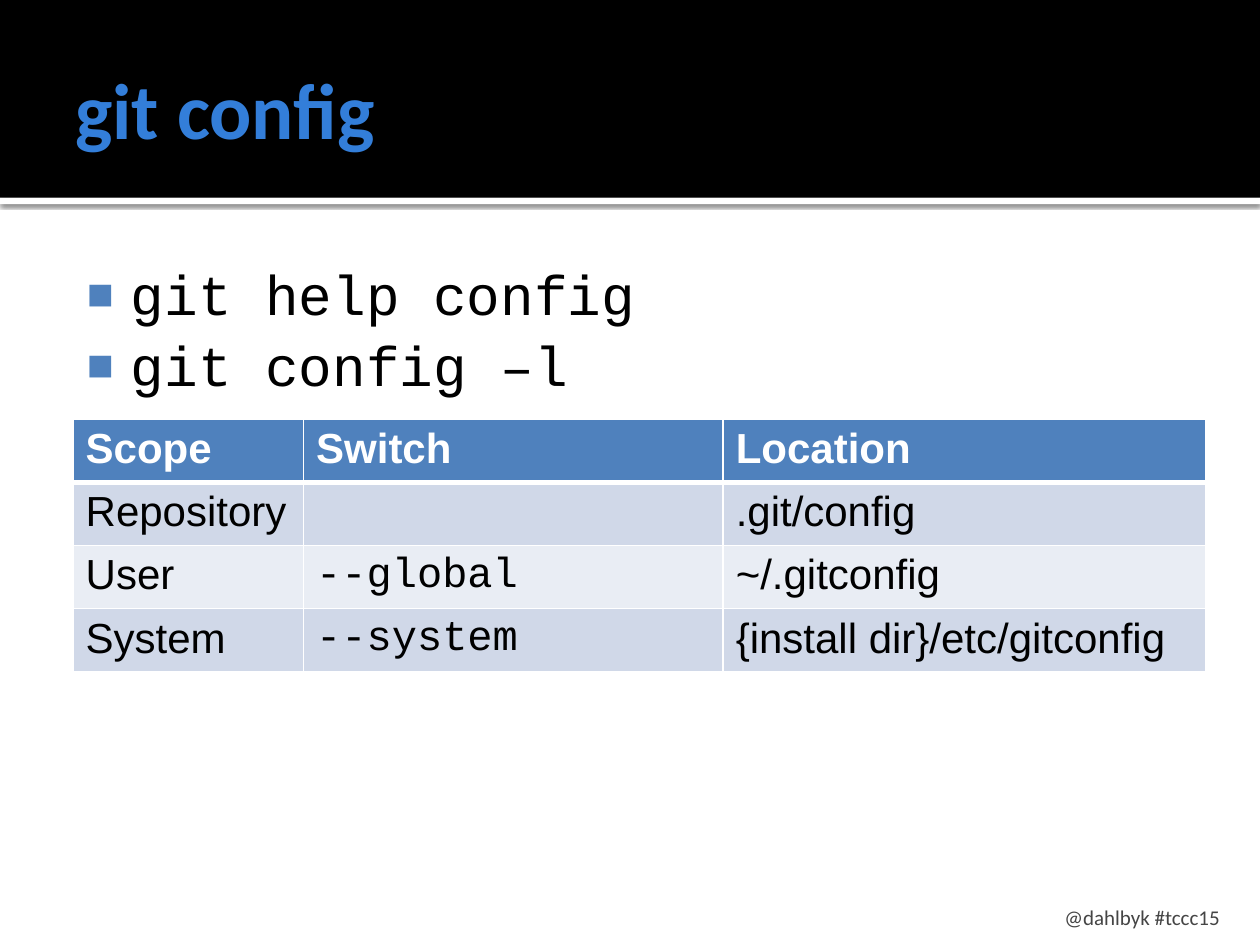
from lxml import etree
from pptx import Presentation
from pptx.dml.color import RGBColor
from pptx.enum.shapes import MSO_SHAPE
from pptx.enum.text import MSO_ANCHOR, PP_ALIGN
from pptx.oxml import parse_xml
from pptx.oxml.ns import nsdecls, qn
from pptx.util import Inches, Pt

RECTANGLE = MSO_SHAPE.RECTANGLE
TOP, MIDDLE, BOTTOM = MSO_ANCHOR.TOP, MSO_ANCHOR.MIDDLE, MSO_ANCHOR.BOTTOM
LEFT, RIGHT = PP_ALIGN.LEFT, PP_ALIGN.RIGHT

COLORS = {
    "white": "FFFFFF",
    "black": "000000",
    "title": "337ED9",
    "accent": "4F81BD",
    "odd_row": "D0D8E8",
    "even_row": "E9EDF4",
    "footer": "454545",
}
SANS, MONO, HEADING = "Arial", "Courier New", "Calibri"

COMMANDS = ["git help config", "git config –l"]
COLUMN_WIDTHS = [1.83, 3.33, 3.83]
ROW_HEIGHT = 0.5
SCOPES = [
    ["Scope", "Switch", "Location"],
    ["Repository", "", ".git/config"],
    ["User", "--global", "~/.gitconfig"],
    ["System", "--system", "{install dir}/etc/gitconfig"],
]


def color(name):
    return RGBColor.from_string(COLORS[name])


def add_span(para, text, font, size, color_name, bold=False):
    span = para.add_run()
    span.text = text
    span.font.name = font
    span.font.size = Pt(size)
    span.font.bold = bold
    span.font.color.rgb = color(color_name)


def add_band(page, top, height, color_name):
    band = page.shapes.add_shape(RECTANGLE, 0, Inches(top), Inches(10), Inches(height))
    band.shadow.inherit = False
    band.fill.solid()
    band.fill.fore_color.rgb = color(color_name)
    band.line.fill.background()
    return band


def add_shadow(shape):
    effects = shape._element.spPr.find(qn("a:effectLst"))
    shadow = etree.SubElement(effects, qn("a:outerShdw"), blurRad=str(Pt(2.5)),
                              dist=str(Pt(0.8)), dir="5400000", algn="t", rotWithShape="0")
    tint = etree.SubElement(shadow, qn("a:srgbClr"), val=COLORS["black"])
    etree.SubElement(tint, qn("a:alpha"), val="60000")


def add_text_box(page, place, insets, anchor):
    box = page.shapes.add_textbox(*map(Inches, place))
    frame = box.text_frame
    frame.word_wrap = True
    frame.vertical_anchor = anchor
    frame.margin_left, frame.margin_top, frame.margin_right, frame.margin_bottom = map(Inches, insets)
    return frame


def add_label(page, place, insets, anchor, align, text, size, color_name, bold=False):
    para = add_text_box(page, place, insets, anchor).paragraphs[0]
    para.alignment = align
    add_span(para, text, HEADING, size, color_name, bold)


def set_bullet(para):
    properties = para._p.get_or_add_pPr()
    properties.set("marL", str(Inches(0.48)))
    properties.set("indent", str(Inches(-0.35)))
    bullet_color = etree.SubElement(properties, qn("a:buClr"))
    etree.SubElement(bullet_color, qn("a:srgbClr"), val=COLORS["accent"])
    etree.SubElement(properties, qn("a:buSzPct"), val="80000")
    etree.SubElement(properties, qn("a:buFont"), typeface=SANS)
    etree.SubElement(properties, qn("a:buChar"), char="■")


def add_bullets(page, place, insets, lines):
    frame = add_text_box(page, place, insets, TOP)
    for index, line in enumerate(lines):
        para = frame.paragraphs[0] if index == 0 else frame.add_paragraph()
        set_bullet(para)
        para.line_spacing = 0.9
        if index:
            para.space_before = Pt(5.8)
        add_span(para, line, MONO, 32, "black")


def set_borders(cell, widths):
    properties = cell._tc.get_or_add_tcPr()
    for side, width in widths.items():
        properties.append(parse_xml(
            f'<a:ln{side} {nsdecls("a")} w="{Pt(width)}"><a:solidFill>'
            f'<a:srgbClr val="{COLORS["white"]}"/></a:solidFill></a:ln{side}>'))


def fill_cell(cell, text, row):
    header = row == 0
    set_borders(cell, {"L": 1, "R": 1, "T": 3 if row == 1 else 1, "B": 3 if header else 1})
    cell.fill.solid()
    cell.fill.fore_color.rgb = color("accent" if header else "odd_row" if row % 2 else "even_row")
    if text:
        font = MONO if text.startswith("--") else SANS
        add_span(cell.text_frame.paragraphs[0], text, font, 24,
                 "white" if header else "black", header)


def add_scope_table(page, left, top):
    table = page.shapes.add_table(
        len(SCOPES), len(COLUMN_WIDTHS), Inches(left), Inches(top),
        Inches(sum(COLUMN_WIDTHS)), Inches(ROW_HEIGHT * len(SCOPES))).table
    for column, width in zip(table.columns, COLUMN_WIDTHS):
        column.width = Inches(width)
    for row, texts in enumerate(SCOPES):
        for column, text in enumerate(texts):
            fill_cell(table.cell(row, column), text, row)


def main():
    deck = Presentation()
    deck.slide_width, deck.slide_height = Inches(10), Inches(7.5)
    page = deck.slides.add_slide(deck.slide_layouts[6])
    page.background.fill.solid()
    page.background.fill.fore_color.rgb = color("white")

    add_shadow(add_band(page, 1.57, 0.05, "white"))
    add_band(page, 0, 1.57, "black")
    add_label(page, (0.5, 0.17, 9, 1.37), (0.1, 0.05, 0.05, 0.05), MIDDLE, LEFT,
              "git config", 45, "title", True)
    add_bullets(page, (0.5, 1.94, 9, 5.06), (0.06, 0.18, 0.1, 0.05), COMMANDS)
    add_scope_table(page, 0.58, 3.33)
    add_label(page, (7.17, 7.08, 2.61, 0.3), (0.1, 0.05, 0.1, 0), BOTTOM, RIGHT,
              "@dahlbyk #tccc15", 12, "footer")
    deck.save("out.pptx")


if __name__ == "__main__":
    main()
